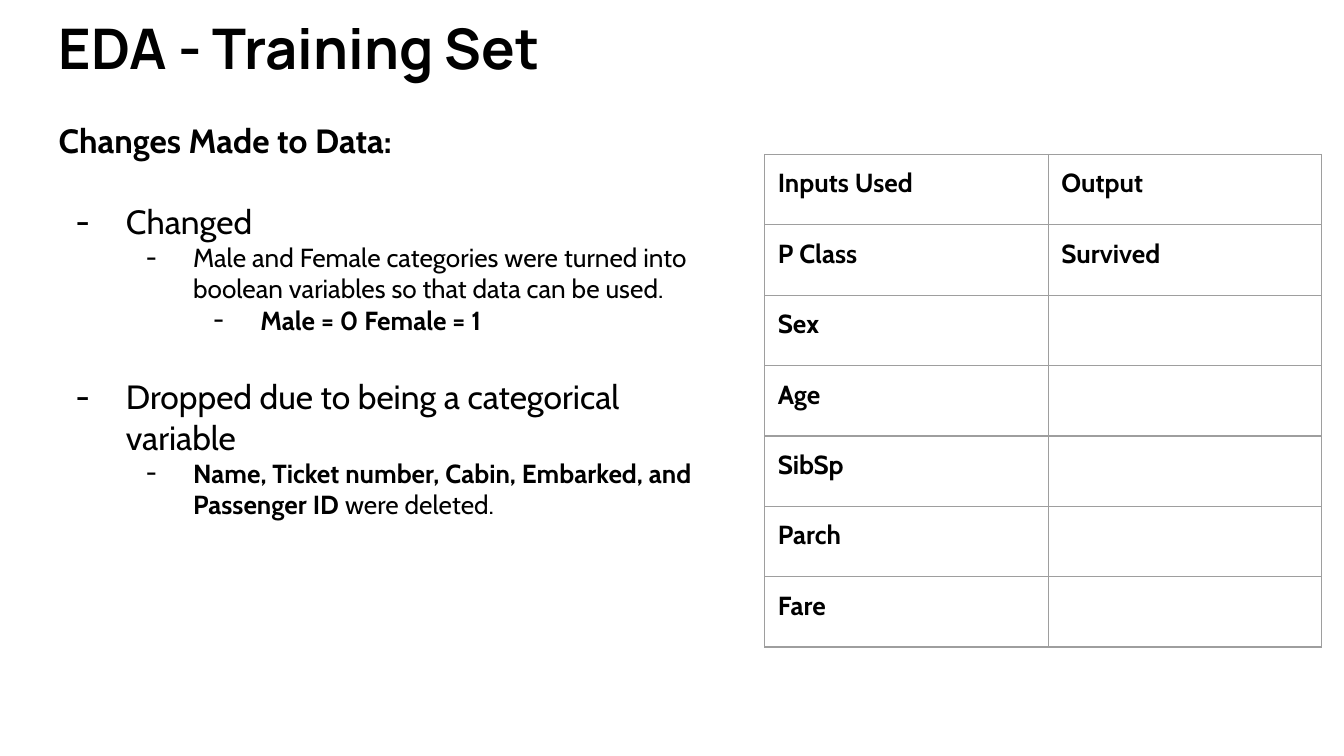
import pptx
import pptx.dml.color
import pptx.enum.text
import pptx.oxml
import pptx.oxml.ns
import pptx.util
from pptx.util import Cm

BLACK = pptx.dml.color.RGBColor(0x00, 0x00, 0x00)
BORDER_GREY = pptx.dml.color.RGBColor(0x9E, 0x9E, 0x9E)
NAMESPACE = pptx.oxml.ns.nsdecls("a")


class SlideWriter:
    heading_font = "Manrope"
    body_font = "Cabin"
    inset = Cm(0.25)

    def __init__(self, slide):
        self.slide = slide

    def add_run(self, paragraph, text, size, bold=False, font=None):
        run = paragraph.add_run()
        run.text = text
        run.font.name = font or self.body_font
        run.font.size = pptx.util.Pt(size)
        run.font.bold = bold
        run.font.color.rgb = BLACK

    def add_text_box(self, left, top, width, height):
        frame = self.slide.shapes.add_textbox(left, top, width, height).text_frame
        frame.word_wrap = True
        frame.vertical_anchor = pptx.enum.text.MSO_ANCHOR.TOP
        frame.margin_left = frame.margin_right = self.inset
        frame.margin_top = frame.margin_bottom = self.inset
        return frame

    def add_bullet(self, frame, level, size, runs, space_before=0):
        paragraph = frame.add_paragraph()
        paragraph.level = level
        paragraph.space_before = pptx.util.Pt(space_before)
        for text, bold in runs:
            self.add_run(paragraph, text, size, bold)
        properties = paragraph._p.get_or_add_pPr()
        properties.set("marL", str(Cm(1.27 * (level + 1))))
        properties.set("indent", str(-Cm(0.95 if level == 0 else 0.89)))
        for xml in (
            f'<a:buClr {NAMESPACE}><a:srgbClr val="{BLACK}"/></a:buClr>',
            f'<a:buFont {NAMESPACE} typeface="{self.body_font}"/>',
            f'<a:buChar {NAMESPACE} char="-"/>',
        ):
            properties.append(pptx.oxml.parse_xml(xml))

    def style_cell(self, cell):
        cell.margin_left = cell.margin_right = self.inset
        cell.margin_top = cell.margin_bottom = self.inset
        properties = cell._tc.get_or_add_tcPr()
        for side in ("lnL", "lnR", "lnT", "lnB"):
            properties.append(pptx.oxml.parse_xml(
                f'<a:{side} {NAMESPACE} w="{pptx.util.Pt(0.75)}"><a:solidFill>'
                f'<a:srgbClr val="{BORDER_GREY}"/></a:solidFill></a:{side}>'
            ))
        cell.fill.background()

    def add_table(self, left, top, column_widths, row_height, rows, size):
        table = self.slide.shapes.add_table(
            len(rows), len(column_widths), left, top,
            sum(column_widths), row_height * len(rows),
        ).table
        table.first_row = table.horz_banding = False
        for column, width in zip(table.columns, column_widths):
            column.width = width
        for row, texts in zip(table.rows, rows):
            row.height = row_height
            for cell, text in zip(row.cells, texts):
                self.style_cell(cell)
                if text:
                    self.add_run(cell.text_frame.paragraphs[0], text, size, True)


def main():
    presentation = pptx.Presentation()
    presentation.slide_width = Cm(25.4)
    presentation.slide_height = Cm(14.29)
    writer = SlideWriter(presentation.slides.add_slide(presentation.slide_layouts[6]))

    inputs = ["P Class", "Sex", "Age", "SibSp", "Parch", "Fare"]
    outputs = ["Survived"] + [""] * (len(inputs) - 1)
    writer.add_table(
        Cm(14.45), Cm(2.92), [Cm(5.36), Cm(5.16)], Cm(1.33),
        [("Inputs Used", "Output"), *zip(inputs, outputs)], 14,
    )

    title = writer.add_text_box(Cm(0.86), Cm(0), Cm(23.67), Cm(1.73))
    writer.add_run(title.paragraphs[0], "EDA - Training Set", 30, True, writer.heading_font)

    changes = writer.add_text_box(Cm(0.86), Cm(2.01), Cm(13.08), Cm(11.13))
    writer.add_run(changes.paragraphs[0], "Changes Made to Data:", 18, True)
    writer.add_bullet(changes, 0, 18, [("Changed", False)], 22)
    writer.add_bullet(changes, 1, 14, [
        ("Male and Female categories were turned into boolean variables "
         "so that data can be used.", False),
    ])
    writer.add_bullet(changes, 2, 14, [("Male = 0 Female = 1", True)])
    writer.add_bullet(changes, 0, 18, [
        ("Dropped due to being a categorical variable", False),
    ], 22)
    writer.add_bullet(changes, 1, 14, [
        ("Name, Ticket number, Cabin, Embarked, and Passenger ID ", True),
        ("were deleted.", False),
    ])

    presentation.save("out.pptx")


if __name__ == "__main__":
    main()
